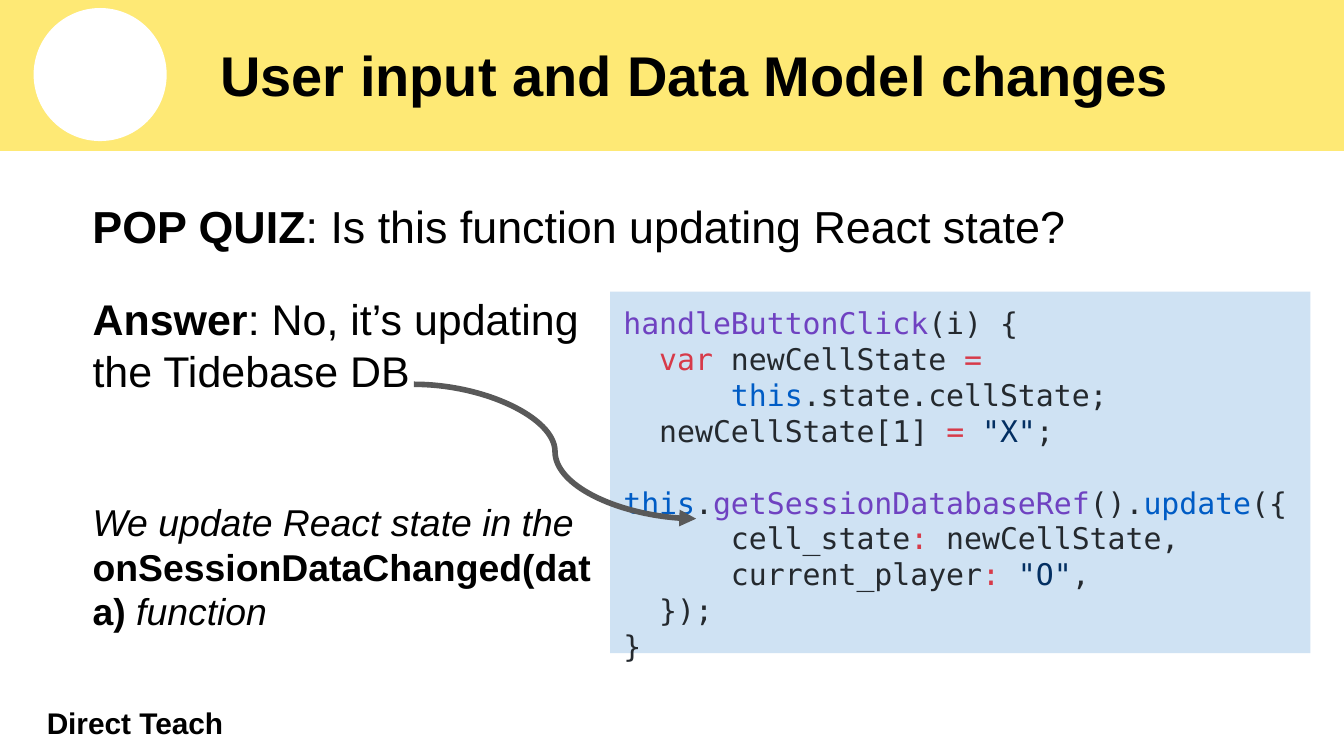
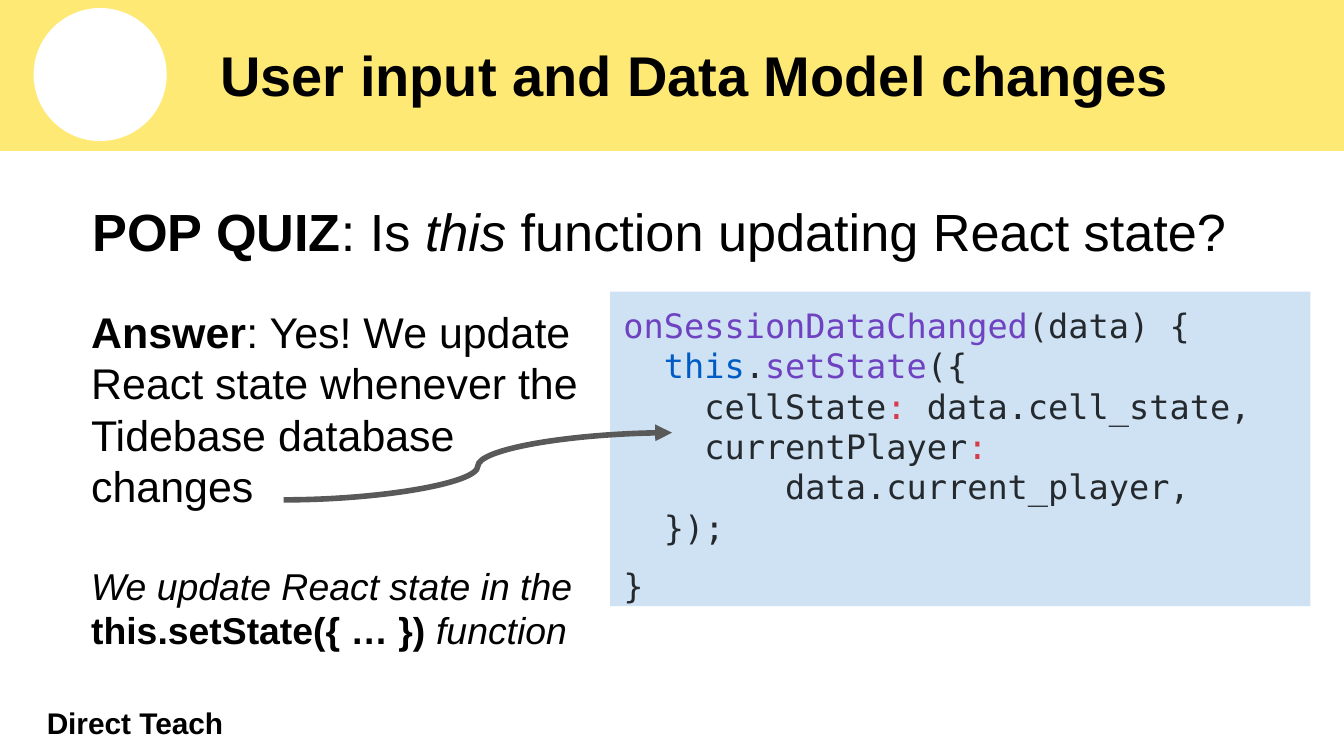
"""Build two quiz slides that share a band, a title style and a footer."""
from dataclasses import dataclass

from lxml.etree import SubElement
from pptx import Presentation
from pptx.dml.color import RGBColor
from pptx.enum.shapes import MSO_CONNECTOR, MSO_SHAPE as Shape
from pptx.enum.text import MSO_ANCHOR as Anchor, PP_ALIGN as Align
from pptx.oxml.ns import qn
from pptx.util import Inches, Pt

COLORS = {
    "band": "FEE975", "white": "FFFFFF", "black": "000000", "panel": "CFE2F3",
    "arrow": "595959", "plain": "24292E", "name": "6F42C1", "key": "D73A49",
    "const": "005CC5", "string": "032F62",
}
SANS, MONO = "Arial", "DejaVu Sans Mono"
LEADING = 1.2


@dataclass(frozen=True)
class Span:
    text: str
    color: str = "black"
    bold: bool = False
    italic: bool = False


@dataclass(frozen=True)
class Para:
    spans: list[Span]
    size: float
    font: str = SANS
    before: float = 0
    spacing: float = 1


@dataclass(frozen=True)
class Box:
    left: float
    top: float
    width: float
    height: float

    def lengths(self) -> list[int]:
        return [Inches(v) for v in (self.left, self.top, self.width, self.height)]


@dataclass(frozen=True)
class Quiz:
    question: Para
    code: list[Para]
    code_box: Box
    answer: list[Para]
    answer_box: Box
    arrow: tuple[float, float, float, float]


def rgb(name: str) -> RGBColor:
    return RGBColor.from_string(COLORS[name])


def write(shape, paras: list[Para], anchor=Anchor.TOP) -> None:
    tf = shape.text_frame
    tf.word_wrap = True
    tf.vertical_anchor = anchor
    tf.margin_left = tf.margin_right = tf.margin_top = tf.margin_bottom = Inches(0.1)
    for i, para in enumerate(paras):
        p = tf.add_paragraph() if i else tf.paragraphs[0]
        p.alignment = Align.LEFT
        p.line_spacing = Pt(para.size * LEADING * para.spacing)
        p.space_before = Pt(para.before)
        for span in para.spans:
            r = p.add_run()
            r.text = span.text
            r.font.name, r.font.size = para.font, Pt(para.size)
            r.font.bold, r.font.italic = span.bold, span.italic
            r.font.color.rgb = rgb(span.color)


def add_text(s, box: Box, paras: list[Para], anchor=Anchor.TOP) -> None:
    write(s.shapes.add_textbox(*box.lengths()), paras, anchor)


def add_filled(s, kind: Shape, box: Box, color: str):
    sp = s.shapes.add_shape(kind, *box.lengths())
    sp.shadow.inherit = False
    sp.fill.solid()
    sp.fill.fore_color.rgb = rgb(color)
    sp.line.fill.background()
    return sp


def add_arrow(s, ends: tuple[float, float, float, float]) -> None:
    c = s.shapes.add_connector(MSO_CONNECTOR.CURVE, *[Inches(v) for v in ends])
    c.line.color.rgb = rgb("arrow")
    c.line.width = Pt(3)
    props = c._element.spPr
    SubElement(props.find(qn("a:ln")), qn("a:tailEnd"), type="triangle")
    SubElement(props, qn("a:effectLst"))


def heading(text: str, size: float) -> list[Para]:
    return [Para([Span(text, bold=True)], size)]


def code_line(size: float, *tokens: tuple[str, str], spacing: float = 1) -> Para:
    return Para([Span(text, color) for text, color in tokens], size, MONO, spacing=spacing)


def answer_text(reply: str, function: str, blank_lines: int) -> list[Para]:
    size = 23
    return [
        Para([Span("Answer", bold=True), Span(f": {reply}")], size),
        Para([Span("We update React state in the ", italic=True),
              Span(function, bold=True), Span(" function", italic=True)],
             20, before=blank_lines * size * LEADING),
    ]


def add_frame(s) -> None:
    band = add_filled(s, Shape.RECTANGLE, Box(0, -0.01, 10, 1.13), "band")
    band.line.color.rgb = rgb("band")
    band.line.width = Pt(0.75)
    add_filled(s, Shape.OVAL, Box(0.25, 0.06, 0.99, 0.99), "white")
    add_text(s, Box(0.25, 5.25, 3, 0.25), heading("Direct Teach", 16), Anchor.MIDDLE)
    add_text(s, Box(1.54, 0.06, 8.2, 0.99),
             heading("User input and Data Model changes", 30), Anchor.MIDDLE)


def add_quiz(prs, quiz: Quiz) -> None:
    s = prs.slides.add_slide(prs.slide_layouts[6])
    add_frame(s)
    add_text(s, Box(0.59, 1.38, 8.9, 3.63), [quiz.question])
    write(add_filled(s, Shape.RECTANGLE, quiz.code_box, "panel"), quiz.code)
    add_text(s, quiz.answer_box, quiz.answer)
    add_arrow(s, quiz.arrow)


QUIZZES = [
    Quiz(
        question=Para([Span("POP QUIZ", bold=True),
                       Span(": Is this function updating React state?")], 24),
        code=[
            code_line(16, ("handleButtonClick", "name"), ("(i) {", "plain")),
            code_line(16, ("  var", "key"), (" newCellState ", "plain"), ("=", "key")),
            code_line(16, ("      this", "const"), (".state.cellState;", "plain")),
            code_line(16, ("  newCellState[1] ", "plain"), ("= ", "key"),
                      ('"X"', "string"), (";", "plain")),
            code_line(16, ("  ", "plain"), ("this", "const"), (".", "plain"),
                      ("getSessionDatabaseRef", "name"), ("().", "plain"),
                      ("update", "const"), ("({", "plain")),
            code_line(16, ("      cell_state", "plain"), (":", "key"),
                      (" newCellState,", "plain")),
            code_line(16, ("      current_player", "plain"), (": ", "key"),
                      ('"O"', "string"), (",", "plain")),
            code_line(16, ("  });", "plain")),
            code_line(16, ("}", "plain")),
        ],
        code_box=Box(4.54, 2.17, 5.21, 2.69),
        answer=answer_text("No, it’s updating the Tidebase DB",
                           "onSessionDataChanged(data)", 2),
        answer_box=Box(0.59, 2.08, 3.95, 3.03),
        arrow=(3.08, 2.86, 5.18, 3.86),
    ),
    Quiz(
        question=Para([Span("POP QUIZ", bold=True), Span(": Is "),
                       Span("this", italic=True),
                       Span(" function updating React state?")], 28),
        code=[
            code_line(18, ("onSessionDataChanged", "name"), ("(data) {", "plain")),
            code_line(18, ("  this", "const"), (".", "plain"),
                      ("setState", "name"), ("({", "plain")),
            code_line(18, ("    cellState", "plain"), (":", "key"),
                      (" data.cell_state,", "plain")),
            code_line(18, ("    currentPlayer", "plain"), (":", "key")),
            code_line(18, ("        data.current_player,", "plain")),
            code_line(18, ("  });", "plain")),
            code_line(18, ("}", "plain"), spacing=1.45),
        ],
        code_box=Box(4.54, 2.17, 5.21, 2.34),
        answer=answer_text("Yes! We update React state whenever the Tidebase database changes",
                           "this.setState({ … })", 1),
        answer_box=Box(0.58, 2.17, 3.96, 3.19),
        arrow=(2.11, 3.72, 5, 3.22),
    ),
]


def main() -> None:
    prs = Presentation()
    prs.slide_width = Inches(10)
    prs.slide_height = prs.slide_width * 9 // 16
    for quiz in QUIZZES:
        add_quiz(prs, quiz)
    prs.save("out.pptx")


if __name__ == "__main__":
    main()
